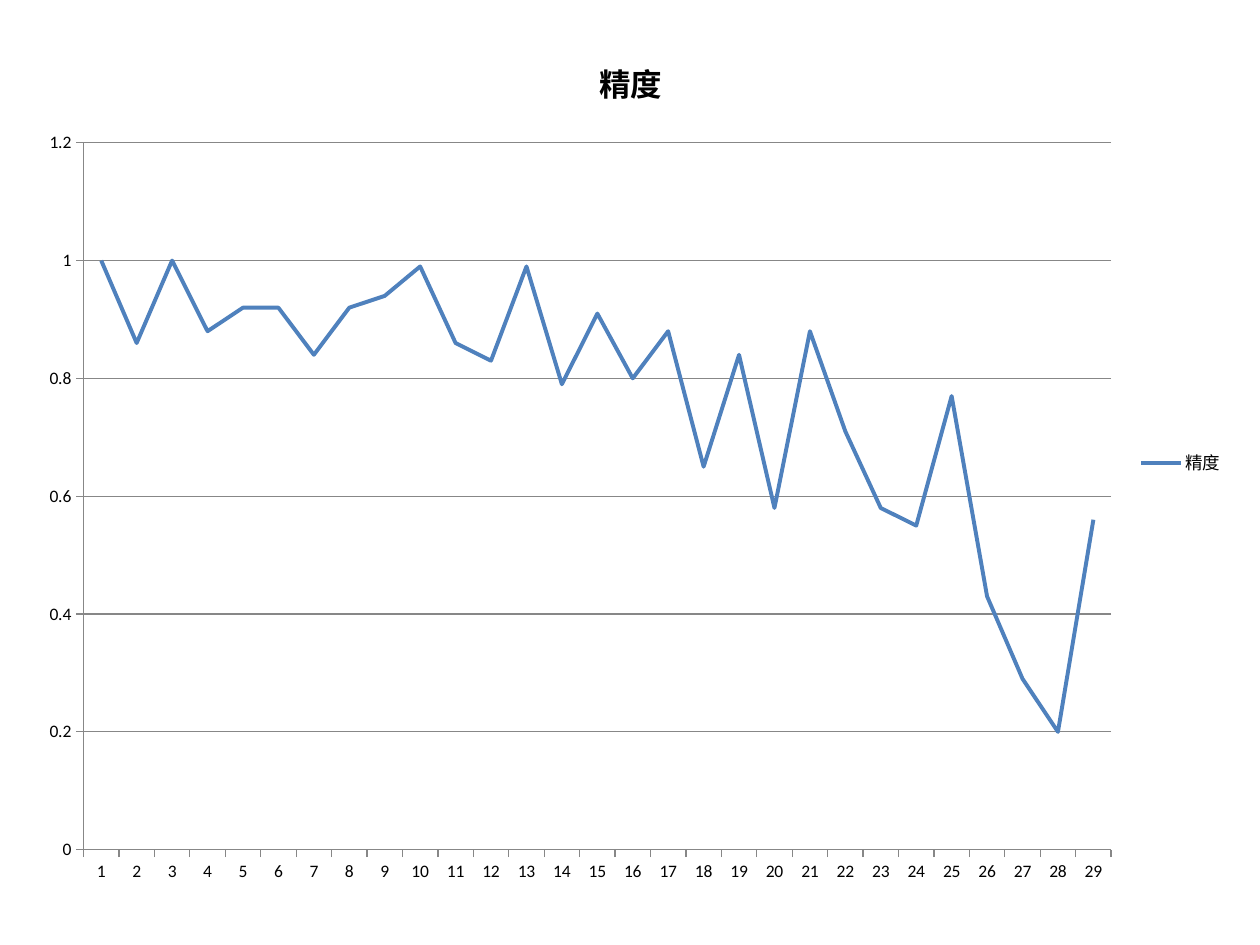
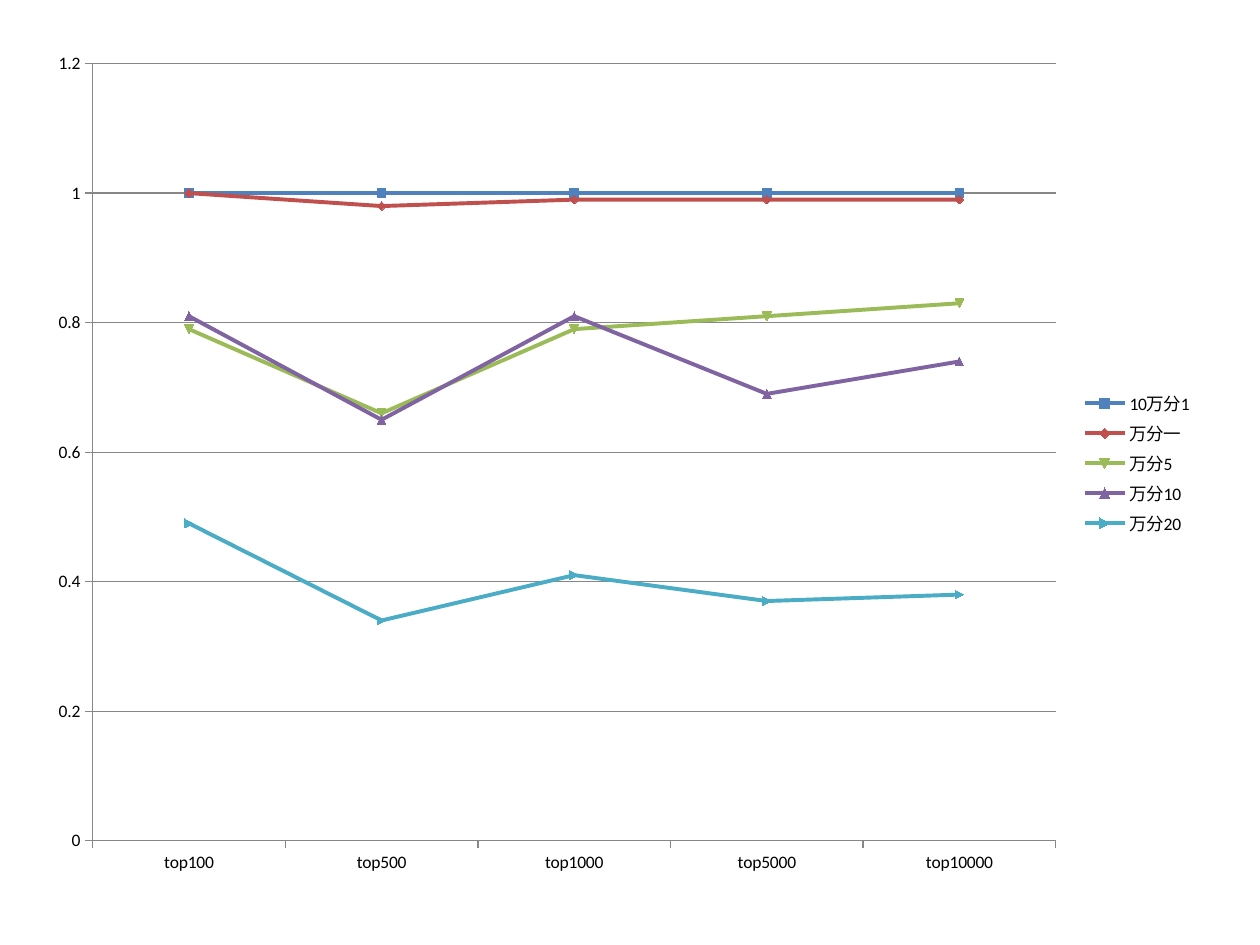
from dataclasses import dataclass

from pptx import Presentation
from pptx import util as u
from pptx.chart.data import CategoryChartData
from pptx.dml.color import RGBColor
from pptx.enum import chart as ch

FONT = "Calibri"
BLACK, GREY = "000000", "878787"
SERIES_COLORS = ["4F81BD", "C0504D", "9BBB59", "8064A2", "4BACC6"]


@dataclass
class LineChart:
    box: tuple[float, float, float, float]  # left, top, width, height in cm
    kind: ch.XL_CHART_TYPE
    categories: list[str]
    series: dict[str, list[float]]
    title: str = ""


def rgb(color: str) -> RGBColor:
    return RGBColor.from_string(color)


def set_font(font, size: float, bold: bool = False) -> None:
    font.name, font.size, font.bold = FONT, u.Pt(size), bold
    font.color.rgb = rgb(BLACK)


def set_line(line, color: str, width: float) -> None:
    line.color.rgb = rgb(color)
    line.width = u.Pt(width)


def add_line_chart(slide, spec_: LineChart) -> None:
    data = CategoryChartData()
    data.categories = spec_.categories
    for name, values in spec_.series.items():
        data.add_series(name, values)
    box = [u.Cm(v) for v in spec_.box]
    chart = slide.shapes.add_chart(spec_.kind, *box, data).chart
    set_font(chart.font, 10)

    # Title and legend
    chart.has_title = bool(spec_.title)
    if spec_.title:
        r = chart.chart_title.text_frame.paragraphs[0].add_run()
        r.text = spec_.title
        set_font(r.font, 18, bold=True)
    chart.has_legend = True
    chart.legend.position = ch.XL_LEGEND_POSITION.RIGHT
    chart.legend.include_in_layout = False

    # Axes and gridlines
    value_axis = chart.value_axis
    value_axis.minimum_scale, value_axis.maximum_scale = 0, 1.2
    value_axis.major_unit = 0.2
    value_axis.has_major_gridlines = True
    set_line(value_axis.major_gridlines.format.line, GREY, 0.75)
    for axis in (chart.category_axis, value_axis):
        axis.major_tick_mark = ch.XL_TICK_MARK.OUTSIDE
        axis.minor_tick_mark = ch.XL_TICK_MARK.NONE
        set_line(axis.format.line, GREY, 0.75)

    # Series
    plot = chart.plots[0]
    plot.vary_by_categories = False
    for series, color in zip(plot.series, SERIES_COLORS):
        series.smooth = False
        set_line(series.format.line, color, 2.25)


CHARTS = [
    LineChart(
        box=(0.51, 0.53, 24.41, 17.6),
        kind=ch.XL_CHART_TYPE.LINE,
        categories=[str(n) for n in range(1, 30)],
        series={"精度": [
            1, 0.86, 1, 0.88, 0.92, 0.92, 0.84, 0.92, 0.94, 0.99,
            0.86, 0.83, 0.99, 0.79, 0.91, 0.8, 0.88, 0.65, 0.84, 0.58,
            0.88, 0.71, 0.58, 0.55, 0.77, 0.43, 0.29, 0.2, 0.56]},
        title="精度",
    ),
    LineChart(
        box=(0.71, 0.74, 23.6, 17.2),
        kind=ch.XL_CHART_TYPE.LINE_MARKERS,
        categories=[f"top{n}" for n in (100, 500, 1000, 5000, 10000)],
        series={
            "10万分1": [1, 1, 1, 1, 1],
            "万分一": [1, 0.98, 0.99, 0.99, 0.99],
            "万分5": [0.79, 0.66, 0.79, 0.81, 0.83],
            "万分10": [0.81, 0.65, 0.81, 0.69, 0.74],
            "万分20": [0.49, 0.34, 0.41, 0.37, 0.38],
        },
    ),
]

prs = Presentation()
prs.slide_width, prs.slide_height = u.Cm(25.4), u.Cm(19.05)
blank = prs.slide_layouts[6]
for line_chart in CHARTS:
    add_line_chart(prs.slides.add_slide(blank), line_chart)
prs.save("out.pptx")
